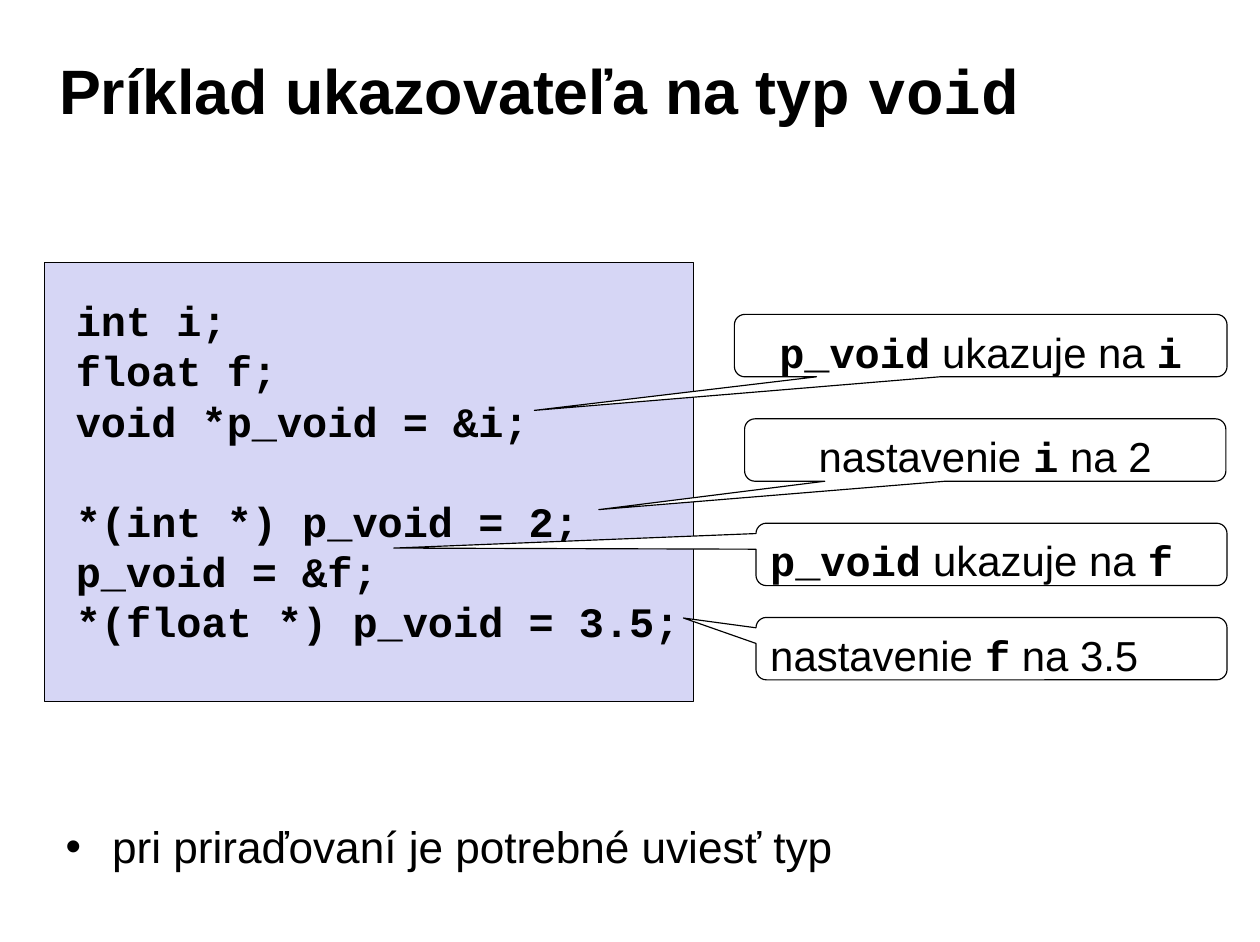
import pptx
import pptx.util
from dataclasses import dataclass
from lxml import etree
from pptx.dml.color import RGBColor
from pptx.enum.shapes import MSO_SHAPE
from pptx.enum.text import MSO_ANCHOR, MSO_AUTO_SIZE, PP_ALIGN
from pptx.oxml.ns import qn

Inches = pptx.util.Inches
Pt = pptx.util.Pt


@dataclass(frozen=True)
class Theme:
    ink: RGBColor = RGBColor(0, 0, 0)
    paper: RGBColor = RGBColor(255, 255, 255)
    panel: RGBColor = RGBColor(0xD6, 0xD6, 0xF5)
    sans: str = "Arial"
    mono: str = "Courier New"
    title: float = 39.8
    body: float = 28
    code: float = 26.6
    line: float = 0.75
    pitch: float = 31.8


THEME = Theme()

CODE = """int i;
float f;
void *p_void = &i;

*(int *) p_void = 2;
p_void = &f;
*(float *) p_void = 3.5;"""

# Text parts alternate: sans, mono, sans, ...
NOTES = [
    ((6.56, 3.69, 4.24, 0.55), (-0.803, 0.955), PP_ALIGN.CENTER,
     ["nastavenie ", "i", " na 2"]),
    ((6.47, 2.77, 4.34, 0.55), (-0.906, 1.038), PP_ALIGN.CENTER,
     ["", "p_void", " ukazuje na ", "i"]),
    ((6.66, 4.61, 4.15, 0.55), (-1.269, -0.101), PP_ALIGN.LEFT,
     ["", "p_void", " ukazuje na ", "f"]),
    ((6.66, 5.44, 4.15, 0.55), (-0.654, -0.49), PP_ALIGN.LEFT,
     ["nastavenie ", "f", " na 3.5"]),
]


def assign(item, values):
    for name, value in values.items():
        setattr(item, name, value)


def place(box):
    return [Inches(n) for n in box]


def write(para, parts, size, bold=False):
    """Add runs that alternate between sans and bold mono."""
    for i, part in enumerate(parts):
        if not part:
            continue
        mono = i % 2 == 1
        run = para.add_run()
        run.text = part
        assign(run.font, {
            "name": THEME.mono if mono else THEME.sans,
            "size": Pt(size),
            "bold": bold or mono,
        })
        run.font.color.rgb = THEME.ink


def setup(shape, anchor, top=0.05, bottom=0.05, wrap=True):
    frame = shape.text_frame
    assign(frame, {
        "auto_size": MSO_AUTO_SIZE.NONE,
        "word_wrap": wrap,
        "vertical_anchor": anchor,
        "margin_left": Inches(0.1),
        "margin_right": Inches(0.1),
        "margin_top": Inches(top),
        "margin_bottom": Inches(bottom),
    })
    return frame


def add_box(slide, kind, box, fill):
    shape = slide.shapes.add_shape(kind, *place(box))
    shape.shadow.inherit = False
    shape.fill.solid()
    shape.fill.fore_color.rgb = fill
    shape.line.color.rgb = THEME.ink
    shape.line.width = Pt(THEME.line)
    return shape


def add_title(slide, box, parts):
    title = slide.shapes.title
    assign(title, dict(zip(("left", "top", "width", "height"), place(box))))
    para = setup(title, MSO_ANCHOR.MIDDLE).paragraphs[0]
    para.alignment = PP_ALIGN.LEFT
    write(para, parts, THEME.title, bold=True)


def add_code(slide, box, code):
    """Write code lines; an empty line becomes space before the next."""
    shape = slide.shapes.add_textbox(*place(box))
    frame = setup(shape, MSO_ANCHOR.TOP, top=0.11, wrap=False)
    gap = 0
    for i, line in enumerate(code.splitlines()):
        if not line:
            gap += THEME.pitch
            continue
        para = frame.add_paragraph() if i else frame.paragraphs[0]
        assign(para, {"line_spacing": Pt(THEME.pitch),
                      "space_before": Pt(gap)})
        write(para, ["", line], THEME.code)
        gap = 0


def add_note(slide, box, tip, align, parts):
    shape = add_box(slide, MSO_SHAPE.ROUNDED_RECTANGULAR_CALLOUT, box,
                    THEME.paper)
    for i, value in enumerate((*tip, 0.167)):
        shape.adjustments[i] = value
    para = setup(shape, MSO_ANCHOR.MIDDLE, top=0.1, bottom=0).paragraphs[0]
    para.alignment = align
    write(para, parts, THEME.code)


def add_point(slide, box, text):
    shape = slide.shapes.add_textbox(*place(box))
    para = setup(shape, MSO_ANCHOR.TOP, top=0.08).paragraphs[0]
    para.line_spacing = 0.9
    props = para._p.get_or_add_pPr()
    props.set("marL", str(Inches(0.41)))
    props.set("indent", str(Inches(-0.41)))
    etree.SubElement(props, qn("a:buFont")).set("typeface", THEME.sans)
    etree.SubElement(props, qn("a:buChar")).set("char", "•")
    write(para, [text], THEME.body)


def main():
    deck = pptx.Presentation()
    assign(deck, {"slide_width": Inches(11.1), "slide_height": Inches(8.3)})
    slide = deck.slides.add_slide(deck.slide_layouts[5])
    add_title(slide, (0.42, 0.23, 9.43, 1.12),
              ["Príklad ukazovateľa na typ ", "void"])
    add_point(slide, (0.48, 7.19, 9.04, 0.64),
              "pri priraďovaní je potrebné uviesť typ")
    add_box(slide, MSO_SHAPE.RECTANGLE, (0.39, 2.31, 5.72, 3.87), THEME.panel)
    add_code(slide, (0.57, 2.49, 5.63, 3.68), CODE)
    for note in NOTES:
        add_note(slide, *note)
    deck.save("out.pptx")


if __name__ == "__main__":
    main()
